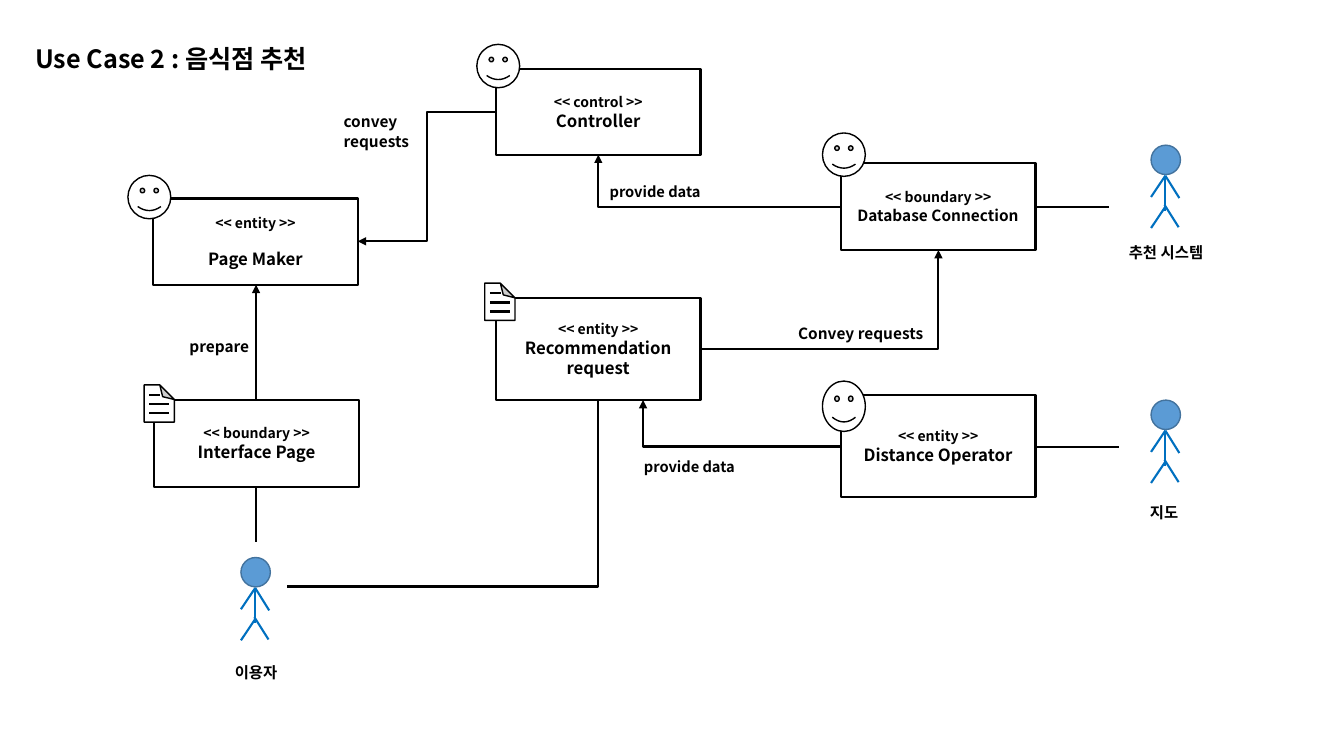
from dataclasses import dataclass

from lxml import etree
from pptx import Presentation
from pptx.dml.color import RGBColor
from pptx.enum.shapes import MSO_CONNECTOR, MSO_SHAPE
from pptx.enum.text import MSO_ANCHOR, PP_ALIGN
from pptx.oxml.ns import qn
from pptx.util import Pt

FONT = "Noto Sans CJK KR"
BLACK = RGBColor(0x00, 0x00, 0x00)
WHITE = RGBColor(0xFF, 0xFF, 0xFF)
HEAD_FILL = RGBColor(0x5B, 0x9B, 0xD5)
HEAD_LINE = RGBColor(0x43, 0x73, 0x9E)
LIMB = RGBColor(0x00, 0x70, 0xC0)

RECT, OVAL = MSO_SHAPE.RECTANGLE, MSO_SHAPE.OVAL
SMILEY, PAGE = MSO_SHAPE.SMILEY_FACE, MSO_SHAPE.FOLDED_CORNER
STRAIGHT, ELBOW = MSO_CONNECTOR.STRAIGHT, MSO_CONNECTOR.ELBOW
CENTER, JUSTIFY, LEFT = PP_ALIGN.CENTER, PP_ALIGN.JUSTIFY, PP_ALIGN.LEFT
MIDDLE = MSO_ANCHOR.MIDDLE


@dataclass
class Box:
    stereotype: str
    name: str
    x: float
    y: float
    w: float
    h: float
    icon: MSO_SHAPE
    icon_x: float
    icon_y: float
    icon_h: float = 31
    size: float = 12
    gap: float = 0


@dataclass
class Link:
    x1: float
    y1: float
    x2: float
    y2: float
    arrow: bool = True
    preset: str = "line"


@dataclass
class Label:
    text: str
    x: float
    y: float
    w: float
    h: float = 27.4
    size: float = 11


@dataclass
class Actor:
    x: float
    y: float
    label: Label


BOXES = [
    Box("<< boundary >>", "Interface Page", 110.2, 285.8, 146.2, 61.9, PAGE, 103, 275),
    Box("<< entity >>", "Recommendation request", 354.2, 213.1, 146.2, 72.7, PAGE, 346.3, 202.3),
    Box("<< control >>", "Controller", 354.2, 49, 146.2, 61.9, SMILEY, 340.6, 31.7),
    Box("<< boundary >>", "Database Connection", 600.5, 116.6, 139.2, 61.9, SMILEY, 587.5, 95, size=11),
    Box("<< entity >>", "Distance Operator", 600.5, 282.2, 139.2, 72.7, SMILEY, 587.5, 272.2, 36),
    Box("<< entity >>", "Page Maker", 109.4, 141.8, 146.2, 61.9, SMILEY, 91.4, 125.3, gap=12),
]
LINKS = [
    Link(182.9, 285.8, 182.9, 203.4),
    Link(354.2, 79.9, 255.6, 172.4, preset="bentConnector3"),
    Link(600.5, 147.6, 427.4, 110.5, preset="bentConnector2"),
    Link(500.4, 249.5, 670.3, 178.6, preset="bentConnector2"),
    Link(600.5, 319, 459.4, 285.8, preset="bentConnector2"),
    Link(205.2, 419, 427.4, 285.8, False, "bentConnector2"),
    Link(182.9, 347.8, 182.9, 387.4, False),
    Link(740.2, 147.6, 792, 147.6, False),
    Link(740.2, 319, 799.2, 319, False),
]
LABELS = [
    Label("convey\nrequests", 238.3, 75.6, 87.1, 41.8),
    Label("prepare", 128.2, 236.2, 84.2),
    Label("provide data", 428.4, 126, 88.6, size=10.5),
    Label("Convey requests", 563, 226.8, 110.9),
    Label("provide data", 452.9, 322.6, 88.6, size=10.5),
]
ACTORS = [
    Actor(172.1, 398.2, Label("이용자", 160.6, 469.4, 65.5, 28.8)),
    Actor(822.2, 103.7, Label("추천 시스템", 799.2, 169.2, 74.2, 22.3)),
    Actor(822.2, 285.8, Label("지도", 814.3, 355, 74.2, 22.3)),
]
# Lines relative to the top left of the head or page
LIMBS = [(10.2, 22.2, 10.2, 46.8), (10.2, 21.8, 0, 37), (10.2, 21.8, 20.2, 37.8),
         (10.2, 44, 0, 59.2), (9.6, 42.6, 19.7, 58.6)]
PAGE_LINES = [(3.6, 20.2, 18, 20.2), (3.6, 13.8, 18, 13.8), (3.6, 7.3, 11.5, 7.3)]


def style_text(p, size: float, align: PP_ALIGN) -> None:
    p.alignment = align
    for r in p.runs:
        r.font.name, r.font.size, r.font.bold = FONT, Pt(size), True
        r.font.color.rgb = BLACK
        etree.SubElement(r.font._element, qn("a:ea"), typeface=FONT)


def add_outline(shapes, kind: MSO_SHAPE, x: float, y: float, w: float, h: float,
                width: float = 1, fill: RGBColor = WHITE, line: RGBColor = BLACK):
    sp = shapes.add_shape(kind, Pt(x), Pt(y), Pt(w), Pt(h))
    sp.shadow.inherit = False
    sp.fill.solid()
    sp.fill.fore_color.rgb = fill
    sp.line.color.rgb = line
    sp.line.width = Pt(width)
    return sp


def add_link(shapes, link: Link, color: RGBColor = BLACK) -> None:
    kind = STRAIGHT if link.preset == "line" else ELBOW
    c = shapes.add_connector(kind, Pt(link.x1), Pt(link.y1), Pt(link.x2), Pt(link.y2))
    c.line.color.rgb = color
    c.line.width = Pt(1.5)
    sp_pr = c.element.spPr
    sp_pr.find(qn("a:prstGeom")).set("prst", link.preset)
    if link.arrow:
        etree.SubElement(sp_pr.find(qn("a:ln")), qn("a:tailEnd"), type="triangle")
    etree.SubElement(sp_pr, qn("a:effectLst"))


def add_strokes(shapes, strokes: list, x: float, y: float, color: RGBColor) -> None:
    for x1, y1, x2, y2 in strokes:
        add_link(shapes, Link(x + x1, y + y1, x + x2, y + y2, False), color)


def add_label(shapes, label: Label):
    sp = shapes.add_textbox(Pt(label.x), Pt(label.y), Pt(label.w), Pt(label.h))
    tf = sp.text_frame
    tf.word_wrap = True
    tf.text = label.text
    for p in tf.paragraphs:
        p.line_spacing = 1.07
        style_text(p, label.size, JUSTIFY)
    return sp


def add_page(shapes, x: float, y: float) -> None:
    group = shapes.add_group_shape().shapes
    sp_pr = add_outline(group, PAGE, x, y, 21.6, 26.6).element.spPr
    sp_pr.find(qn("a:xfrm")).set("flipV", "1")
    geometry = sp_pr.find(qn("a:prstGeom"))
    for guides in geometry.findall(qn("a:avLst")):
        geometry.remove(guides)
    guides = etree.SubElement(geometry, qn("a:avLst"))
    etree.SubElement(guides, qn("a:gd"), name="adj", fmla="val 48400")
    add_strokes(group, PAGE_LINES, x, y, BLACK)


def add_box(shapes, box: Box) -> None:
    sp = add_outline(shapes, RECT, box.x, box.y, box.w, box.h, 1.5)
    tf = sp.text_frame
    tf.word_wrap = True
    tf.vertical_anchor = MIDDLE
    tf.text = f"{box.stereotype}\n{box.name}"
    stereotype, name = tf.paragraphs
    style_text(stereotype, 10, CENTER)
    style_text(name, box.size, CENTER)
    name.space_before = Pt(box.gap)
    if box.icon == SMILEY:
        add_outline(shapes, SMILEY, box.icon_x, box.icon_y, 30.6, box.icon_h)
    else:
        add_page(shapes, box.icon_x, box.icon_y)


def add_actor(shapes, actor: Actor) -> None:
    group = shapes.add_group_shape().shapes
    sp = add_label(group, actor.label)
    sp.fill.solid()
    sp.fill.fore_color.rgb = WHITE
    add_outline(group, OVAL, actor.x, actor.y, 21, 21, 1, HEAD_FILL, HEAD_LINE)
    add_strokes(group, LIMBS, actor.x, actor.y, LIMB)


def main() -> None:
    prs = Presentation()
    prs.slide_width, prs.slide_height = Pt(960), Pt(540)
    slide = prs.slides.add_slide(prs.slide_layouts[5])
    shapes = slide.shapes

    # Title
    title = shapes.title
    title.left, title.top, title.width, title.height = Pt(18), Pt(27.4), Pt(251.3), Pt(28.8)
    tf = title.text_frame
    tf.text = "Use Case 2 : 음식점 추천"
    tf.vertical_anchor = MIDDLE
    style_text(tf.paragraphs[0], 18, LEFT)

    # Diagram
    for box in BOXES:
        add_box(shapes, box)
    for link in LINKS:
        add_link(shapes, link)
    for actor in ACTORS:
        add_actor(shapes, actor)
    for label in LABELS:
        add_label(shapes, label)

    prs.save("out.pptx")


if __name__ == "__main__":
    main()
